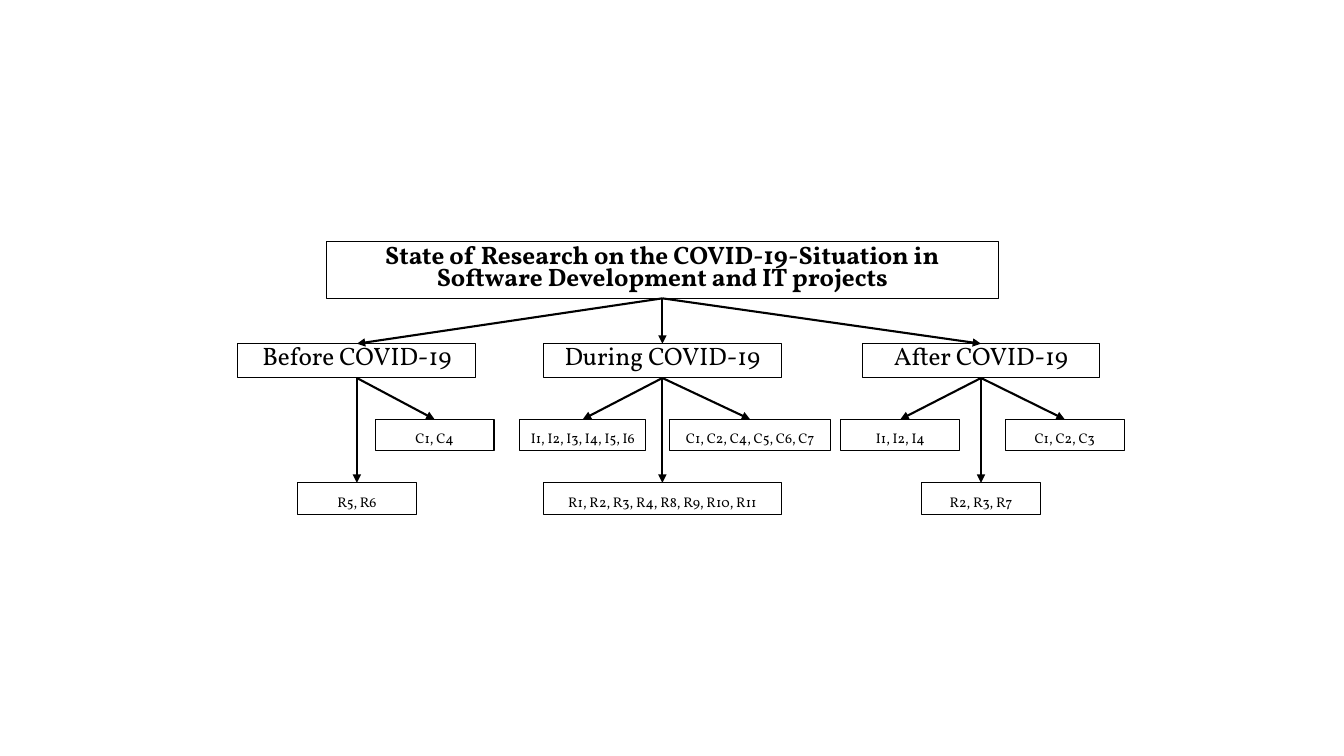
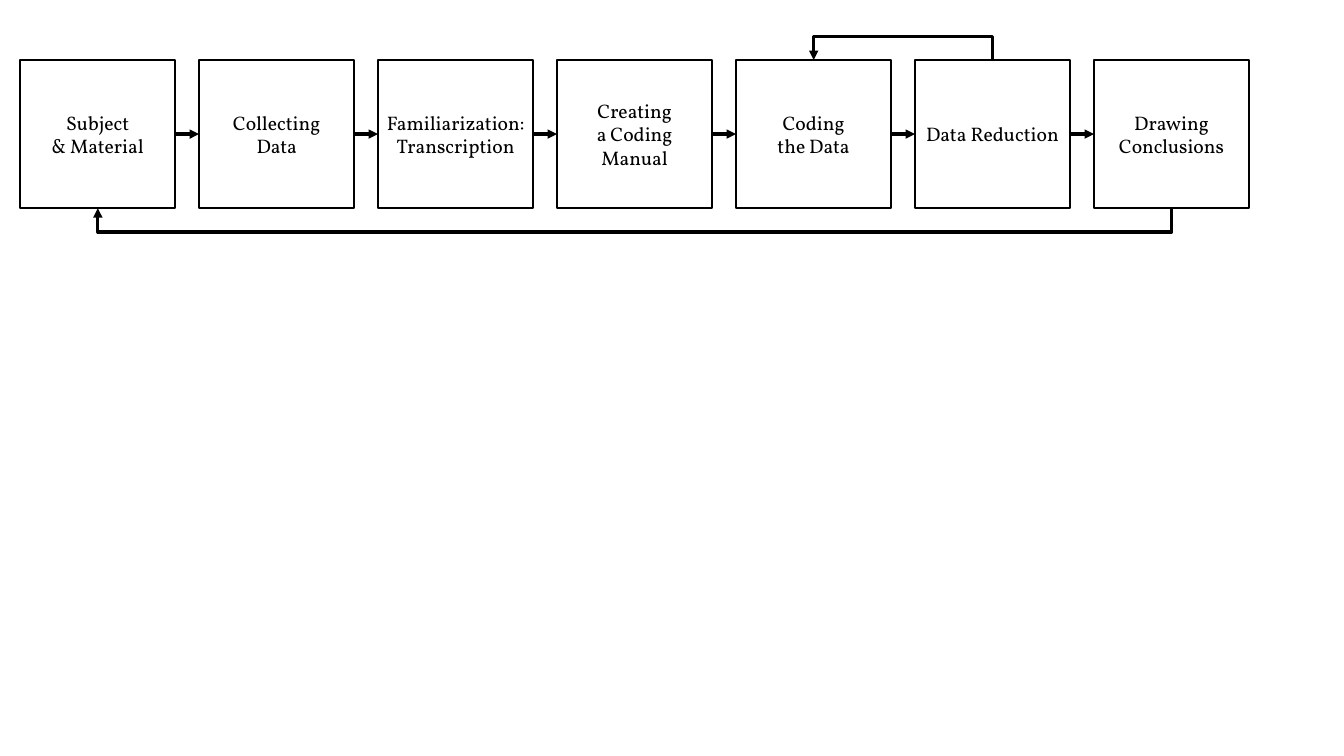
from dataclasses import dataclass
from itertools import pairwise

from lxml.etree import SubElement
from pptx import Presentation
from pptx.dml.color import RGBColor
from pptx.enum.shapes import MSO_CONNECTOR, MSO_SHAPE
from pptx.enum.text import MSO_ANCHOR, PP_ALIGN
from pptx.oxml.ns import qn
from pptx.util import Inches, Pt


@dataclass(frozen=True)
class Theme:
    """Colours, type sizes and line widths shared by the slides."""
    font: str = "Vollkorn"
    ink: RGBColor = RGBColor(0, 0, 0)
    paper: RGBColor = RGBColor(255, 255, 255)
    heading: Pt = Pt(18)
    step: Pt = Pt(14)
    code: Pt = Pt(10)
    leading: Pt = Pt(16)
    spacing: Pt = Pt(6)
    thin: Pt = Pt(0.75)
    medium: Pt = Pt(1.5)
    thick: Pt = Pt(2.25)


THEME = Theme()
BOTTOM, TOP, LEFT, RIGHT = 2, 0, 1, 3

QUESTION = "State of Research on the COVID-19-Situation in Software Development and IT projects"
PHASE_TOP, UPPER_TOP, LOWER_TOP = 3.41, 4.16, 4.79
PHASES = [
    ("Before COVID-19", 3.54, [
        ("C1, C4", 4.31, UPPER_TOP, 1.18),
        ("R5, R6", 3.54, LOWER_TOP, 1.18),
    ]),
    ("During COVID-19", 6.57, [
        ("I1, I2, I3, I4, I5, I6", 5.78, UPPER_TOP, 1.25),
        ("C1, C2, C4, C5, C6, C7", 7.44, UPPER_TOP, 1.6),
        ("R1, R2, R3, R4, R8, R9, R10, R11", 6.57, LOWER_TOP, 2.36),
    ]),
    ("After COVID-19", 9.73, [
        ("I1, I2, I4", 8.93, UPPER_TOP, 1.18),
        ("C1, C2, C3", 10.56, UPPER_TOP, 1.18),
        ("R2, R3, R7", 9.73, LOWER_TOP, 1.18),
    ]),
]

STEPS = [
    "Subject\n& Material",
    "Collecting\nData",
    "Familiarization:\nTranscription",
    "Creating\na Coding\nManual",
    "Coding\nthe Data",
    "Data Reduction",
    "Drawing Conclusions",
]
FIRST_LEFT, LAST_LEFT, STEP_TOP = 0.2, 10.85, 0.6
STEP_WIDTH, STEP_HEIGHT = 1.54, 1.46
LOOP_REACH, LOOP_DEPTH = 0.25, 0.01


def add_box(slide, text, left, top, width, height, size, border):
    """Add an outlined rectangle with centred text."""
    box = slide.shapes.add_shape(
        MSO_SHAPE.RECTANGLE, Inches(left), Inches(top), Inches(width), Inches(height))
    box.shadow.inherit = False
    box.fill.background()
    box.line.color.rgb = THEME.ink
    box.line.width = border
    box.text_frame.word_wrap = True
    box.text_frame.text = text
    for paragraph in box.text_frame.paragraphs:
        paragraph.alignment = PP_ALIGN.CENTER
        font = paragraph.runs[0].font
        font.name, font.size, font.color.rgb = THEME.font, size, THEME.ink
    return box


def add_node(slide, text, center, top, width, height, size):
    """Add a tree node centred on a column, with fixed line spacing."""
    node = add_box(slide, text, center - width / 2, top, width, height, size, THEME.thin)
    node.text_frame.vertical_anchor = MSO_ANCHOR.TOP
    paragraph = node.text_frame.paragraphs[0]
    paragraph.line_spacing = THEME.leading
    paragraph.space_before = paragraph.space_after = THEME.spacing
    return node


def add_step(slide, text, left):
    """Add a process step with its label in the middle."""
    step = add_box(slide, text, left, STEP_TOP, STEP_WIDTH, STEP_HEIGHT, THEME.step, THEME.medium)
    step.fill.solid()
    step.fill.fore_color.rgb = THEME.paper
    step.text_frame.vertical_anchor = MSO_ANCHOR.MIDDLE
    step.text_frame.margin_left = step.text_frame.margin_right = 0
    return step


def style_arrow(arrow, width):
    """Give a connector its colour, width and arrowhead, without a shadow."""
    arrow.line.color.rgb = THEME.ink
    arrow.line.width = width
    properties = arrow.element.spPr
    SubElement(properties.find(qn("a:ln")), qn("a:tailEnd"), type="triangle")
    SubElement(properties, qn("a:effectLst"))


def link(slide, source, source_site, target, target_site, width):
    """Join two shapes with a straight arrow."""
    arrow = slide.shapes.add_connector(MSO_CONNECTOR.STRAIGHT, 0, 0, 0, 0)
    arrow.begin_connect(source, source_site)
    arrow.end_connect(target, target_site)
    style_arrow(arrow, width)


def add_loop(slide, start, end, edge, upward):
    """Add an arrow that leaves an edge, runs back and returns to it."""
    center = (start + end) / 2
    half_span = (start - end) / 2 * (-1 if upward else 1)
    arrow = slide.shapes.add_connector(
        MSO_CONNECTOR.ELBOW,
        Inches(center - LOOP_DEPTH / 2), Inches(edge - half_span),
        Inches(center + LOOP_DEPTH / 2), Inches(edge + half_span))
    properties = arrow.element.spPr
    properties.find(qn("a:xfrm")).set("rot", str((270 if upward else 90) * 60000))
    geometry = properties.find(qn("a:prstGeom"))
    adjustments = geometry.find(qn("a:avLst"))
    if adjustments is None:
        adjustments = SubElement(geometry, qn("a:avLst"))
    reach = round(LOOP_REACH / LOOP_DEPTH * 100000)
    SubElement(adjustments, qn("a:gd"), name="adj1", fmla=f"val {reach}")
    style_arrow(arrow, THEME.thick)


def build_research_tree(slide):
    """Draw the research question, its phases and their codes."""
    question = add_node(slide, QUESTION, 6.57, 2.4, 6.67, 0.56, THEME.heading)
    question.text_frame.paragraphs[0].runs[0].font.bold = True
    for label, center, codes in PHASES:
        phase = add_node(slide, label, center, PHASE_TOP, 2.36, 0.34, THEME.heading)
        link(slide, question, BOTTOM, phase, TOP, THEME.medium)
        for text, code_center, top, width in codes:
            code = add_node(slide, text, code_center, top, width, 0.31, THEME.code)
            link(slide, phase, BOTTOM, code, TOP, THEME.medium)


def build_process(slide):
    """Draw the chain of steps and its two feedback loops."""
    pitch = (LAST_LEFT - FIRST_LEFT) / (len(STEPS) - 1)
    lefts = [FIRST_LEFT + pitch * index for index in range(len(STEPS))]
    steps = [add_step(slide, text, left) for text, left in zip(STEPS, lefts)]
    for source, target in pairwise(steps):
        link(slide, source, RIGHT, target, LEFT, THEME.thick)
    centers = [left + STEP_WIDTH / 2 for left in lefts]
    add_loop(slide, centers[5], centers[4], STEP_TOP, upward=True)
    add_loop(slide, centers[-1], centers[0], STEP_TOP + STEP_HEIGHT, upward=False)


def main():
    """Build and save the presentation."""
    deck = Presentation()
    deck.slide_width, deck.slide_height = Inches(13.33), Inches(7.5)
    blank = deck.slide_layouts[6]
    for build in (build_research_tree, build_process):
        build(deck.slides.add_slide(blank))
    deck.save("out.pptx")


if __name__ == "__main__":
    main()
